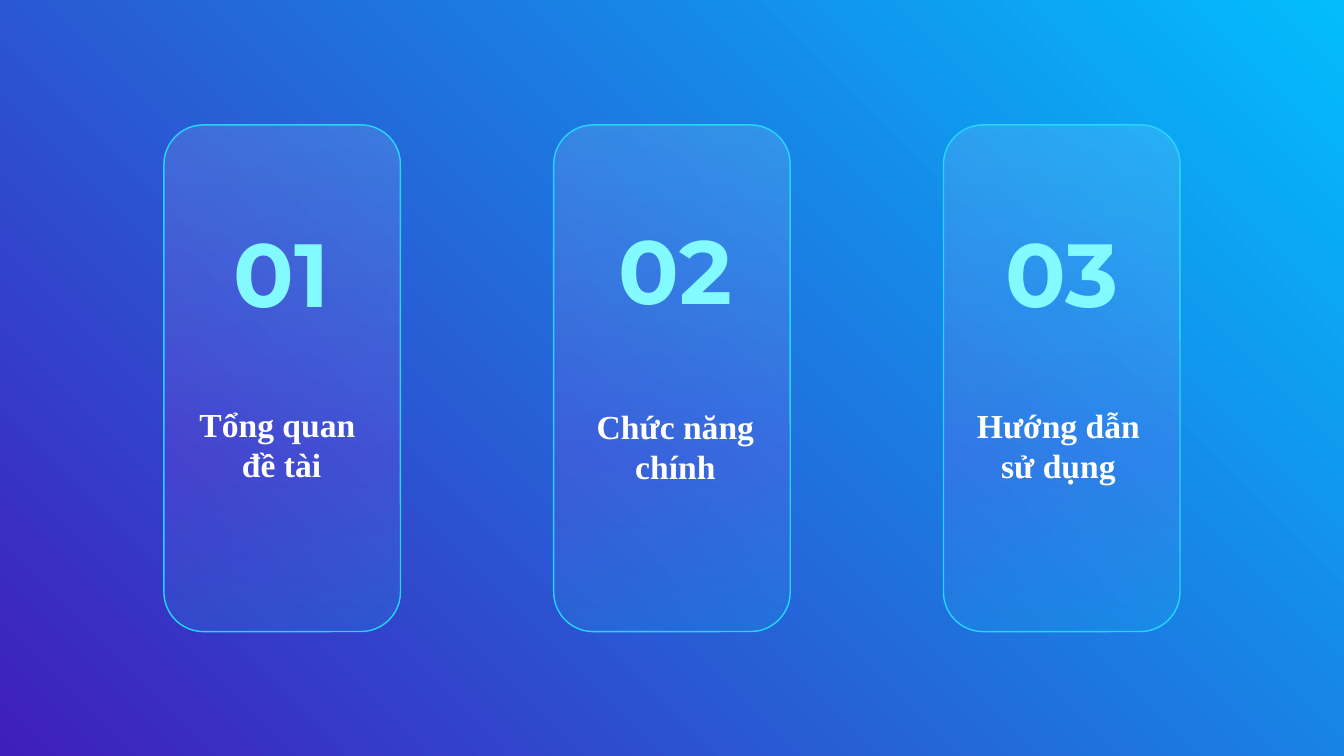
from lxml import etree
from pptx import Presentation
from pptx.dml.color import RGBColor
from pptx.enum.shapes import MSO_SHAPE
from pptx.enum.text import MSO_ANCHOR, MSO_AUTO_SIZE, PP_ALIGN
from pptx.oxml.ns import qn
from pptx.util import Inches, Pt

ROUND = MSO_SHAPE.ROUNDED_RECTANGLE
BOTTOM, MIDDLE = MSO_ANCHOR.BOTTOM, MSO_ANCHOR.MIDDLE
CENTER = PP_ALIGN.CENTER
FIXED = MSO_AUTO_SIZE.NONE

INDIGO = RGBColor(0x40, 0x1E, 0xBB)
SKY = RGBColor(0x02, 0xBC, 0xFD)
WHITE = RGBColor(0xFF, 0xFF, 0xFF)
PINK = RGBColor(0xE3, 0x54, 0xF7)
CYAN = RGBColor(0x10, 0xEC, 0xFF)
EDGE = RGBColor(0x24, 0xD6, 0xFF)
AQUA = RGBColor(0x83, 0xFA, 0xFF)

LEFT, TOP, WIDE, HIGH, STEP = 1.22, 0.93, 1.76, 3.77, 2.9
CARDS = [
    ("01", (0.1, 0.43), "Tổng quan \nđề tài", (0.02, 2.02, 1.71, 0.71)),
    ("02", (0.13, 0.41), "Chức năng chính", (0.05, 2.02, 1.71, 0.74)),
    ("03", (0.11, 0.43), "Hướng dẫn sử dụng", (0, 2.08, 1.71, 0.6)),
]


def blend(fill, root, stops, angle, alpha=100):
    """Give a fill a linear gradient of (percent, colour) stops."""
    fill.gradient()
    fill.gradient_angle = angle
    group = root.find(".//" + qn("a:gsLst"))
    for old in list(group):
        group.remove(old)
    for place, color in stops:
        stop = etree.SubElement(group, qn("a:gs"), pos=str(place * 1000))
        tint = etree.SubElement(stop, qn("a:srgbClr"), val=str(color))
        if alpha < 100:
            etree.SubElement(tint, qn("a:alpha"), val=str(alpha * 1000))


def place(shape, box):
    """Move a shape to a box given in inches."""
    shape.left, shape.top, shape.width, shape.height = map(Inches, box)


def write(shape, box, text, font, size, color, anchor):
    """Fill a text shape with bold centred lines."""
    place(shape, box)
    frame = shape.text_frame
    frame.word_wrap = True
    frame.auto_size = FIXED
    frame.vertical_anchor = anchor
    frame.margin_left = frame.margin_right = Inches(0.1)
    frame.margin_top = frame.margin_bottom = Inches(0.1)
    para = frame.paragraphs[0]
    para.alignment = CENTER
    for row, line in enumerate(text.split("\n")):
        if row:
            para.add_line_break()
        run = para.add_run()
        run.text = line
        run.font.name = font
        run.font.size = Pt(size)
        run.font.bold = True
        run.font.color.rgb = color


def add_panel(slide, box):
    """Draw the glassy rounded panel of a card."""
    panel = slide.shapes.add_shape(ROUND, *map(Inches, box))
    panel.shadow.inherit = False
    panel.adjustments[0] = 0.167
    blend(panel.fill, panel.element,
          [(0, WHITE), (66, PINK), (100, CYAN)], 270, 11)
    panel.line.color.rgb = EDGE
    panel.line.width = Pt(0.75)
    return panel


def add_card(slide, box, card, title=None):
    """Place a panel with its number and label in the box."""
    number, shift, label, area = card
    left, top = box[:2]
    panel = add_panel(slide, box)
    if title is None:
        title = slide.shapes.add_textbox(0, 0, 0, 0)
    else:
        title.element.addprevious(panel.element)
    write(title, (left + shift[0], top + shift[1], 1.55, 1.16),
          number, "Montserrat", 48, AQUA, BOTTOM)
    note = slide.shapes.add_textbox(0, 0, 0, 0)
    write(note, (left + area[0], top + area[1], *area[2:]),
          label, "Times New Roman", 18, WHITE, MIDDLE)


def main():
    """Build the slide and save it."""
    deck = Presentation()
    deck.slide_width = Inches(10)
    deck.slide_height = deck.slide_width * 9 // 16
    slide = deck.slides.add_slide(deck.slide_layouts[5])
    blend(slide.background.fill, slide.element, [(0, INDIGO), (100, SKY)], 45)
    for col, card in enumerate(CARDS):
        title = None if col else slide.shapes.title
        add_card(slide, (LEFT + col * STEP, TOP, WIDE, HIGH), card, title)
    deck.save("out.pptx")


if __name__ == "__main__":
    main()
